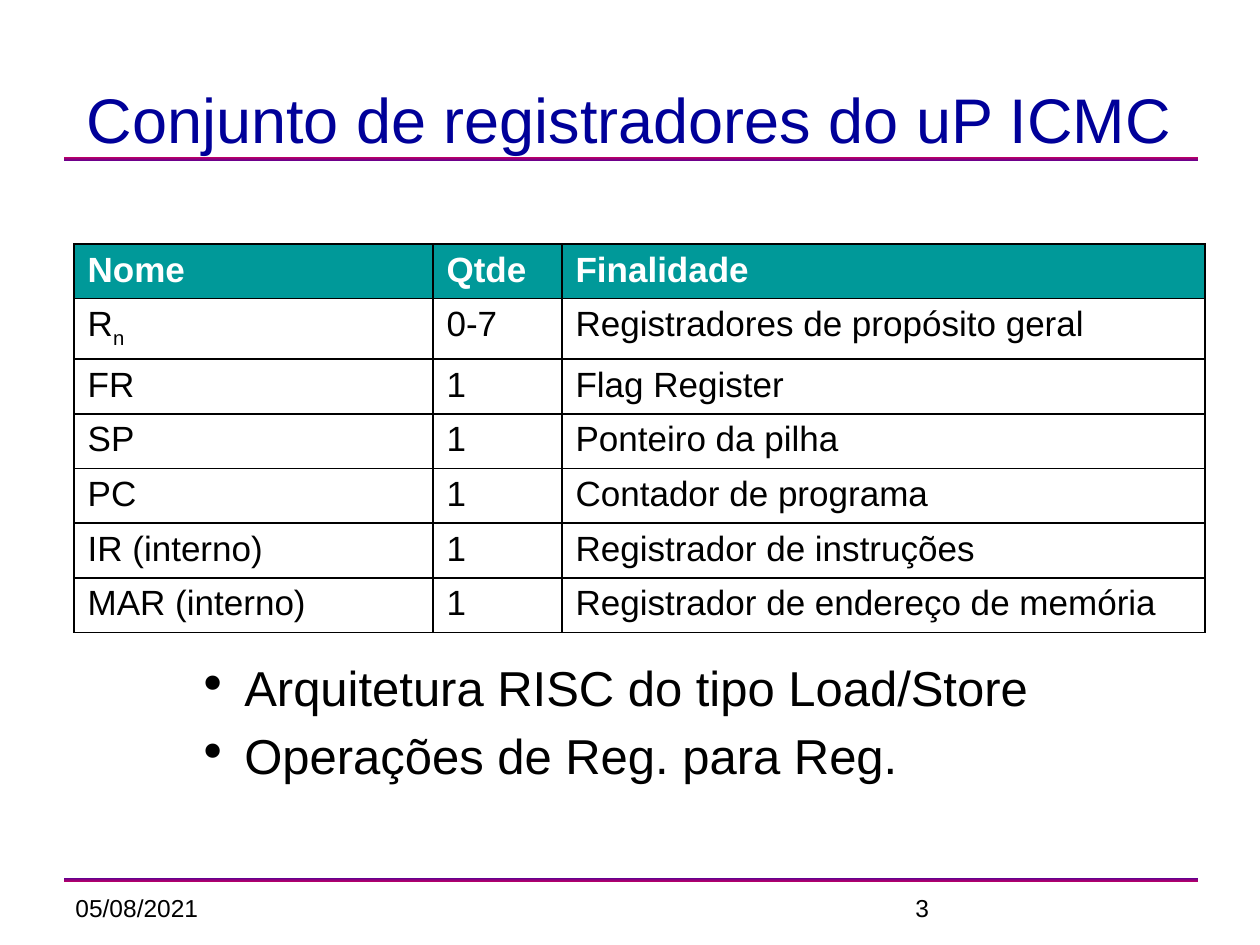
"""Build the slide on the register set of the ICMC microprocessor."""
from lxml import etree
from pptx import Presentation
from pptx import util as u
from pptx.dml.color import RGBColor
from pptx.enum import shapes, text
from pptx.oxml.ns import qn

PX = 914400 // 126
BLACK, WHITE, NAVY, TEAL = "000000", "FFFFFF", "000099", "009999"
PURPLE, MAGENTA = "66008F", "BA0066"

TITLE = "Conjunto de registradores do uP ICMC"
RULES = [(157, (PURPLE, MAGENTA)), (878, (MAGENTA, PURPLE))]
FOOTERS = [(63, "05/08/2021"), (903, "3")]
BULLETS = ["Arquitetura RISC do tipo Load/Store", "Operações de Reg. para Reg."]
REGISTERS = [
    ("Nome", "Qtde", "Finalidade"),
    (("R", "n"), "0-7", "Registradores de propósito geral"),
    ("FR", "1", "Flag Register"),
    ("SP", "1", "Ponteiro da pilha"),
    ("PC", "1", "Contador de programa"),
    ("IR (interno)", "1", "Registrador de instruções"),
    ("MAR (interno)", "1", "Registrador de endereço de memória"),
]
COLUMNS = [359, 129, 643]
ROWS = [52, 59] + [53] * 5


def px(*lengths):
    return [length * PX for length in lengths]


def color(value):
    return RGBColor.from_string(value)


def style(para, size, shade, bold=False):
    font = para.font
    font.name, font.size, font.bold = "Arial", u.Pt(size), bold
    font.color.rgb = color(shade)


def hang(para):
    props = para._p.get_or_add_pPr()
    props.set("marL", str(48 * PX))
    props.set("indent", str(-47 * PX))
    return props


def add_text(page, place, lines, size, shade=BLACK):
    box = page.shapes.add_textbox(*px(*place))
    frame = box.text_frame
    frame.word_wrap = True
    frame.text = "\n".join(lines)
    for para in frame.paragraphs:
        style(para, size, shade)
    return frame


def add_rule(page, top, stops):
    rule = page.shapes.add_shape(shapes.MSO_SHAPE.RECTANGLE, *px(64, top, 1134, 4))
    rule.shadow.inherit = False
    rule.line.fill.background()
    rule.fill.gradient()
    rule.fill.gradient_angle = 90
    for stop, shade, position in zip(rule.fill.gradient_stops, stops, (0, 1)):
        stop.color.rgb = color(shade)
        stop.position = position


def add_borders(cell):
    props = cell._tc.get_or_add_tcPr()
    for index, side in enumerate(("lnL", "lnR", "lnT", "lnB")):
        line = etree.Element(qn(f"a:{side}"), w=str(u.Pt(0.96)))
        fill = etree.SubElement(line, qn("a:solidFill"))
        etree.SubElement(fill, qn("a:srgbClr"), val=BLACK)
        props.insert(index, line)


def fill_cell(cell, content, header):
    para = cell.text_frame.paragraphs[0]
    hang(para)
    base, *subscripts = [content] if isinstance(content, str) else content
    para.add_run().text = base
    for subscript in subscripts:
        span = para.add_run()
        span.text = subscript
        span._r.get_or_add_rPr().set("baseline", "-25000")
    style(para, 20, WHITE if header else BLACK, header)
    if header:
        cell.fill.solid()
        cell.fill.fore_color.rgb = color(TEAL)
    else:
        cell.fill.background()
    add_borders(cell)


def add_registers(page):
    place = px(74, 244, sum(COLUMNS), sum(ROWS))
    table = page.shapes.add_table(len(ROWS), len(COLUMNS), *place).table
    table.first_row = table.horz_banding = False
    for column, width in zip(table.columns, COLUMNS):
        column.width = width * PX
    for index, (row, height) in enumerate(zip(table.rows, ROWS)):
        row.height = height * PX
        for cell, content in zip(row.cells, REGISTERS[index]):
            fill_cell(cell, content, index == 0)


def add_bullets(page):
    frame = add_text(page, (184, 651, 882, 205), BULLETS, 28)
    for index, para in enumerate(frame.paragraphs):
        props = hang(para)
        if index:
            para.space_before = u.Pt(5.6)
        bullet = etree.Element(qn("a:buChar"), char="∙")
        props.insert(list(props).index(props.find(qn("a:defRPr"))), bullet)


def main():
    deck = Presentation()
    deck.slide_width, deck.slide_height = px(1260, 945)
    page = deck.slides.add_slide(deck.slide_layouts[6])
    for top, stops in RULES:
        add_rule(page, top, stops)
    for left, words in FOOTERS:
        add_text(page, (left, 887, 294, 65), [words], 14)
    title = add_text(page, (64, 63, 1130, 99), [TITLE], 36, NAVY)
    title.vertical_anchor = text.MSO_ANCHOR.BOTTOM
    title.paragraphs[0].alignment = text.PP_ALIGN.CENTER
    add_registers(page)
    add_bullets(page)
    deck.save("out.pptx")


if __name__ == "__main__":
    main()
